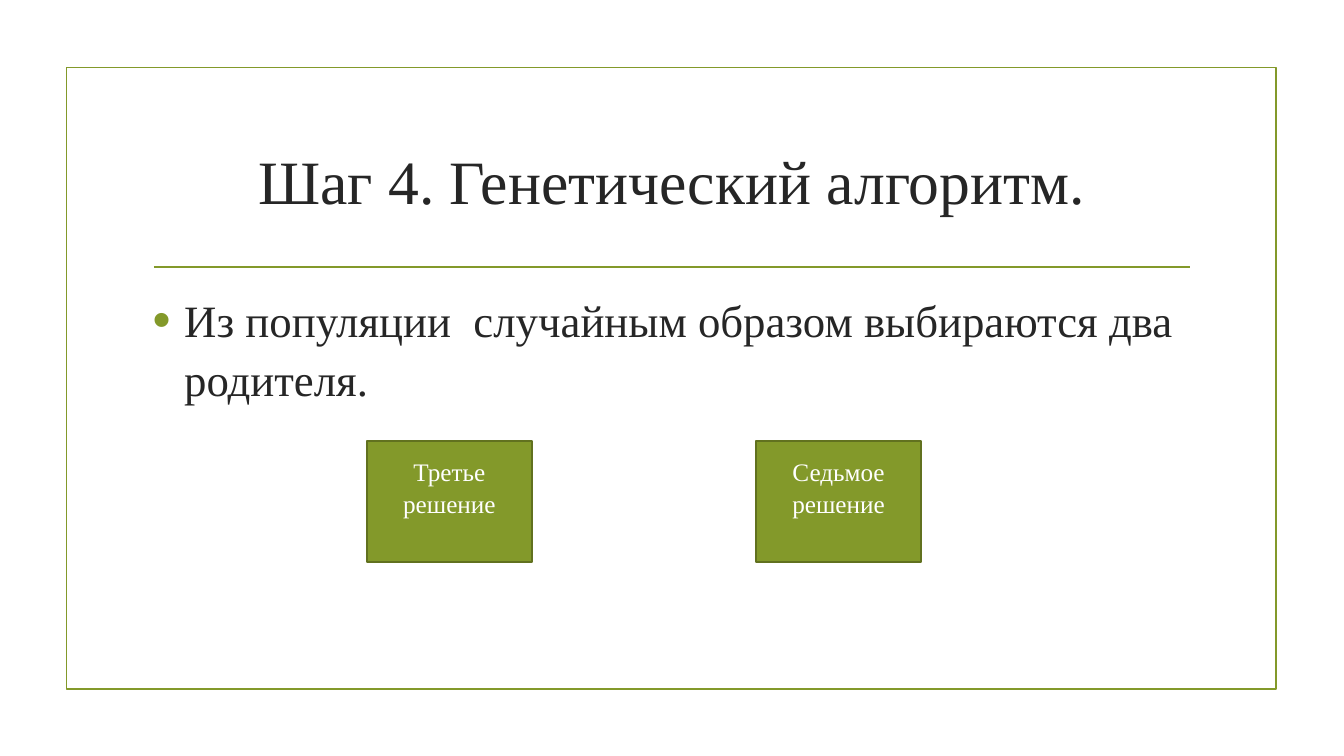
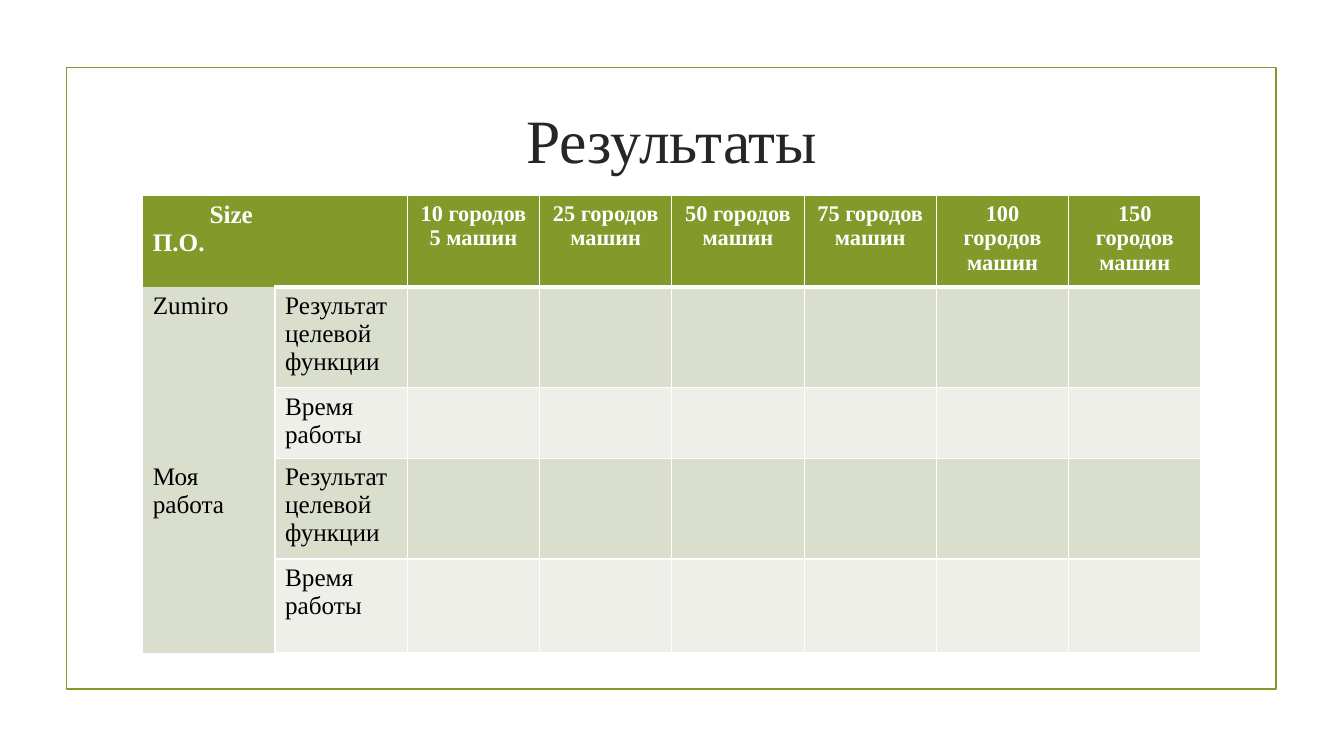
from pptx import Presentation
from pptx.dml.color import RGBColor
from pptx.enum.shapes import MSO_CONNECTOR as Link, MSO_SHAPE as Form
from pptx.enum.text import MSO_ANCHOR as Anchor, PP_ALIGN as Align
from pptx.oxml.ns import qn
from pptx.util import Pt
from lxml.etree import SubElement

HUES = {
    "green": "83992A",
    "edge": "61711F",
    "ink": "262626",
    "black": "000000",
    "white": "FFFFFF",
    "dark": "D9DECD",
    "light": "EDEFE8",
}
FONT = "Times New Roman"
PLAIN = "{2D5ABB26-0587-4C30-8999-92F81FD0307C}"
LEFT, WIDTH = 102, 756
RULE = (110, 190.5, 740)

HEADS = [
    ["10 городов", "5 машин"],
    ["25 городов", "машин"],
    ["50 городов", "машин"],
    ["75 городов", "машин"],
    ["100 городов", "машин"],
    ["150 городов", "машин"],
]
TOOLS = ["Zumiro", "Моя работа"]
FACTS = ["Результат целевой функции", "Время работы"]
ROWS = [60, 67, 47, 67, 67]


def tint(name):
    """Return the named colour."""
    return RGBColor.from_string(HUES[name])


def write(frame, lines, size, hue, align=Align.LEFT, bold=False):
    """Fill a text frame with one paragraph per line."""
    frame.word_wrap = True
    for i, line in enumerate(lines):
        para = frame.paragraphs[0] if i == 0 else frame.add_paragraph()
        para.alignment = align
        run = para.add_run()
        run.text = line
        font = run.font
        font.name, font.size, font.bold = FONT, Pt(size), bold
        font.color.rgb = tint(hue)
    return frame.paragraphs


def rect(slide, box, fill, edge):
    """Draw a rectangle, unfilled when fill is None."""
    shape = slide.shapes.add_shape(Form.RECTANGLE, *map(Pt, box))
    shape.shadow.inherit = False
    if fill:
        shape.fill.solid()
        shape.fill.fore_color.rgb = tint(fill)
    else:
        shape.fill.background()
    shape.line.color.rgb = tint(edge)
    shape.line.width = Pt(1.25)
    return shape


def label(slide, box):
    """Add an empty text box."""
    return slide.shapes.add_textbox(*map(Pt, box)).text_frame


def base(deck, title, top):
    """Add a slide with the green frame and a centred title."""
    slide = deck.slides.add_slide(deck.slide_layouts[6])
    rect(slide, (47.5, 48.25, 864, 444), None, "green")
    frame = label(slide, (LEFT, top, WIDTH, 103))
    frame.vertical_anchor = Anchor.MIDDLE
    write(frame, [title], 44, "ink", Align.CENTER)
    return slide


def rule(slide, x, y, w):
    """Draw the line below the title."""
    line = slide.shapes.add_connector(
        Link.STRAIGHT, Pt(x), Pt(y), Pt(x + w), Pt(y))
    line.line.color.rgb = tint("green")
    line.line.width = Pt(1.25)
    SubElement(line._element.spPr, qn("a:effectLst"))


def indent(para, left, first=0):
    """Set the left margin and first line indent of a paragraph."""
    props = para._p.get_or_add_pPr()
    props.set("marL", str(Pt(left)))
    props.set("indent", str(Pt(first)))
    return props


def bullet(slide, box, text):
    """Add a bulleted statement."""
    para = write(label(slide, box), [text], 32, "ink")[0]
    para.line_spacing = 1.1
    para.space_after = Pt(6)
    props = indent(para, 22.5, -22.5)
    color = SubElement(props, qn("a:buClr"))
    SubElement(color, qn("a:srgbClr"), val=HUES["green"])
    SubElement(props, qn("a:buSzPct"), val="115000")
    SubElement(props, qn("a:buFont"), typeface="Arial")
    SubElement(props, qn("a:buChar"), char="•")


def parent(slide, box, text):
    """Draw one chosen solution, its text raised by one line."""
    frame = rect(slide, box, "green", "edge").text_frame
    frame.vertical_anchor = Anchor.MIDDLE
    frame.margin_bottom = Pt(25)
    write(frame, [text], 18, "white", Align.CENTER)[0].line_spacing = 1.07


def border(cell, side, width):
    """Draw one white cell border."""
    props = cell._tc.get_or_add_tcPr()
    line = SubElement(props, qn("a:ln" + side), w=str(Pt(width)))
    fill = SubElement(line, qn("a:solidFill"))
    SubElement(fill, qn("a:srgbClr"), val=HUES["white"])


def paint(cell, row, col):
    """Give a cell the borders and fill of its place."""
    if row or col:
        border(cell, "R", 1)
    if col:
        border(cell, "B", 1 if row else 3)
    hue = "green" if row == 0 else "dark" if row % 2 or col == 0 else "light"
    cell.fill.solid()
    cell.fill.fore_color.rgb = tint(hue)


def results(slide, x, y, w):
    """Add the table of results."""
    count = len(HEADS) + 2
    grid = slide.shapes.add_table(
        len(ROWS), count, Pt(x), Pt(y), Pt(w), Pt(sum(ROWS))).table
    grid.first_row = grid.horz_banding = False
    grid._tbl.tblPr.find(qn("a:tableStyleId")).text = PLAIN
    for col in grid.columns:
        col.width = Pt(w / count)
    for r, high in enumerate(ROWS):
        grid.rows[r].height = Pt(high)
        for c in range(count):
            paint(grid.cell(r, c), r, c)
    corner = grid.cell(0, 0).text_frame
    indent(write(corner, ["Size", "П.О."], 18, "white", bold=True)[0], 40.5)
    for c, lines in enumerate(HEADS, 2):
        write(grid.cell(0, c).text_frame, lines, 16, "white",
              Align.CENTER, True)
    for i, tool in enumerate(TOOLS):
        top = 1 + i * len(FACTS)
        head = grid.cell(top, 0)
        head.merge(grid.cell(top + len(FACTS) - 1, 0))
        write(head.text_frame, [tool], 18, "black")
        for r, fact in enumerate(FACTS, top):
            write(grid.cell(r, 1).text_frame, [fact], 18, "black")


def choice(deck):
    """Build the slide on choosing two parents."""
    slide = base(deck, "Шаг 4. Генетический алгоритм.", 77)
    rule(slide, *RULE)
    bullet(slide, (LEFT, 201.5, WIDTH, 261.5),
           "Из популяции  случайным образом выбираются два родителя.")
    for i, text in enumerate(["Третье решение", "Седьмое решение"]):
        parent(slide, (262 + i * 278, 315, 118, 86.5), text)


def outcome(deck):
    """Build the slide with the results."""
    slide = base(deck, "Результаты", 48)
    results(slide, LEFT, 140, WIDTH)


def main():
    """Build and save the deck."""
    deck = Presentation()
    deck.slide_width, deck.slide_height = Pt(960), Pt(540)
    choice(deck)
    outcome(deck)
    deck.save("out.pptx")


if __name__ == "__main__":
    main()
